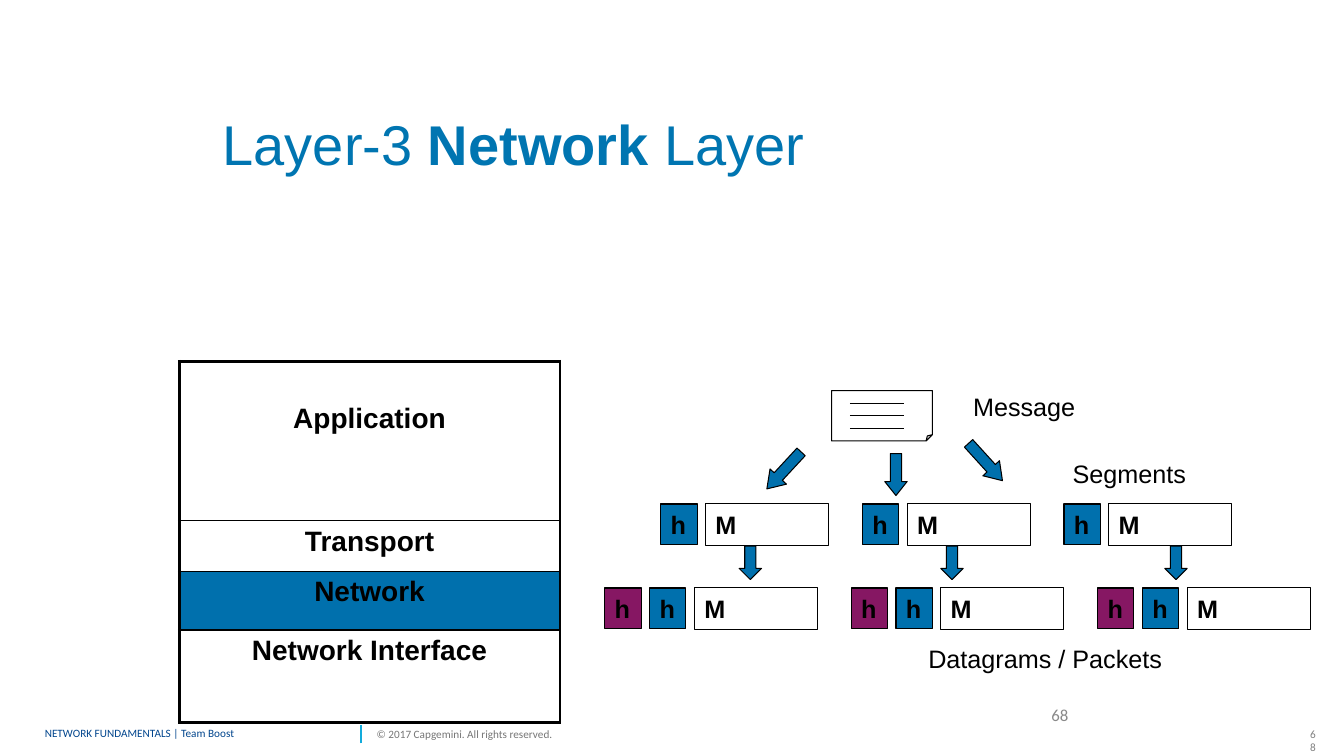
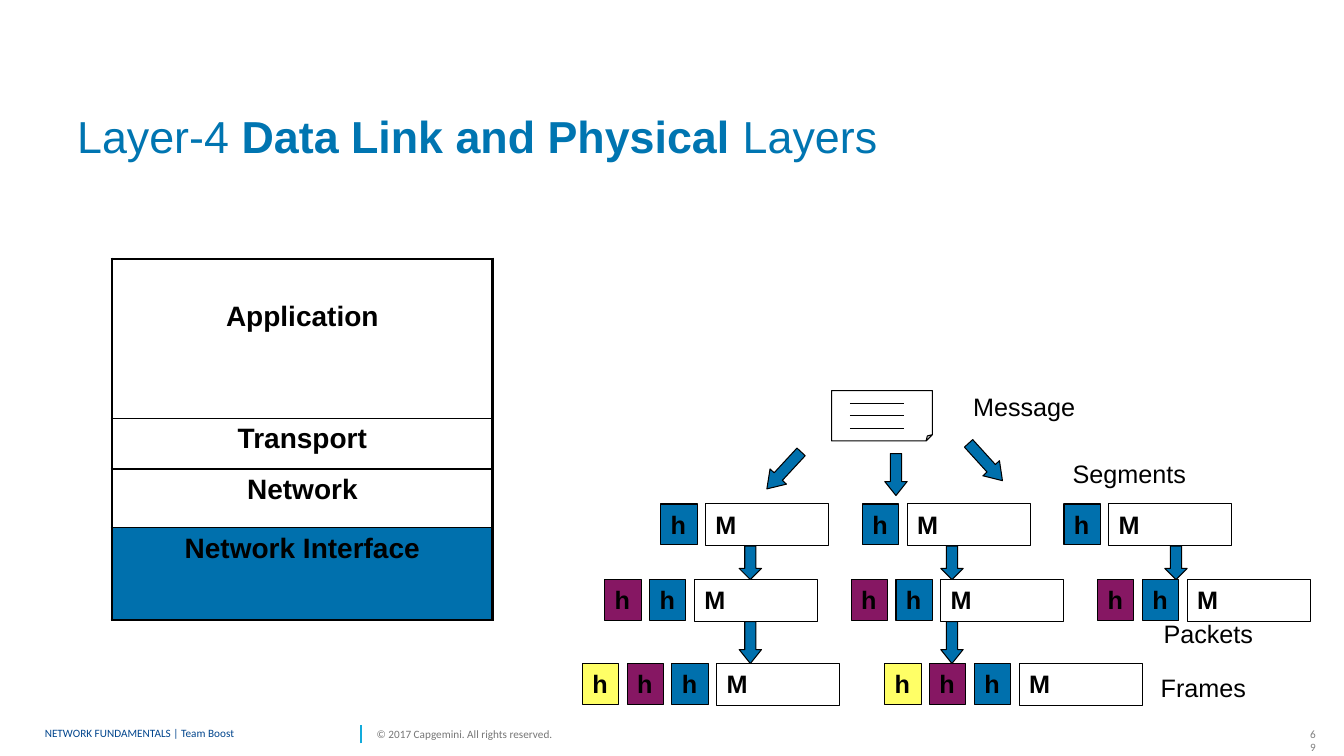
"""Build two slides on the network and data link layers."""
from lxml import etree
from pptx import Presentation
from pptx.dml.color import RGBColor
from pptx.enum import shapes, text
from pptx.oxml import ns
from pptx.util import Pt

PX = 12700
SLIDE_SIZE = (960, 540)

BLACK = RGBColor(0x00, 0x00, 0x00)
WHITE = RGBColor(0xFF, 0xFF, 0xFF)
BLUE = RGBColor(0x00, 0x70, 0xAD)
PURPLE = RGBColor(0x86, 0x17, 0x63)
YELLOW = RGBColor(0xFF, 0xFF, 0x66)
TITLE_BLUE = RGBColor(0x00, 0x75, 0xB1)
FOOTER_BLUE = RGBColor(0x00, 0x45, 0x8D)
DIVIDER_BLUE = RGBColor(0x12, 0xAB, 0xDB)
COPYRIGHT_GREY = RGBColor(0x76, 0x76, 0x76)
CORNER_GREY = RGBColor(0x80, 0x80, 0x80)
NUMBER_GREY = RGBColor(0x89, 0x89, 0x89)

LABEL = {"name": "Arial", "size": Pt(18), "bold": False}
STRONG = {**LABEL, "bold": True}
LAYER = {**STRONG, "size": Pt(20)}
FOOTER = {"name": "Calibri", "size": Pt(8)}
NUMBER = {"name": "Calibri", "size": Pt(12)}

NO_INSETS = {"margin_left": 0, "margin_top": 0, "margin_right": 0, "margin_bottom": 0}
MIDDLE = {"vertical_anchor": text.MSO_ANCHOR.MIDDLE}
NO_WRAP = {"word_wrap": False}

LAYER_ROWS = [("Application", 114), ("Transport", 36), ("Network", 42), ("Network Interface", 66)]
LAYER_WIDTH = 272
HEADER_PITCH = 32
ARROW_WIDTH = 16


def px(*lengths):
    """Return the lengths in EMU."""
    return [length * PX for length in lengths]


def apply(target, values):
    """Set each named attribute of the target."""
    for name, value in values.items():
        setattr(target, name, value)


def add_run(paragraph, content, style, color=BLACK):
    """Append a formatted run to the paragraph."""
    run = paragraph.add_run()
    run.text = content
    apply(run.font, style)
    run.font.color.rgb = color


def add_text(slide, box, content, style, color=BLACK, frame=None, paragraph_style=None):
    """Add a one-paragraph text box and return its paragraph."""
    text_frame = slide.shapes.add_textbox(*px(*box)).text_frame
    apply(text_frame, {"word_wrap": True, **(frame or {})})
    paragraph = text_frame.paragraphs[0]
    apply(paragraph, paragraph_style or {})
    add_run(paragraph, content, style, color)
    return paragraph


def add_shape(slide, kind, box, fill):
    """Add a preset shape with a thin black outline."""
    shape = slide.shapes.add_shape(kind, *px(*box))
    shape.shadow.inherit = False
    shape.fill.solid()
    shape.fill.fore_color.rgb = fill
    shape.line.color.rgb = BLACK
    shape.line.width = Pt(0.75)
    return shape


def add_line(slide, start, end, color, width):
    """Add a straight line without a shadow."""
    line = slide.shapes.add_connector(shapes.MSO_CONNECTOR.STRAIGHT, *px(*start, *end))
    line.line.color.rgb = color
    line.line.width = Pt(width)
    etree.SubElement(line._element.spPr, ns.qn("a:effectLst"))


def add_footer(slide, number):
    """Add the footer texts, the divider and the corner number."""
    add_text(slide, (928, 516, 19, 17), number, FOOTER, CORNER_GREY,
             paragraph_style={"alignment": text.PP_ALIGN.RIGHT})
    add_line(slide, (258, 531), (258, 518), DIVIDER_BLUE, 1)
    frame = {**NO_INSETS, **MIDDLE}
    add_text(slide, (32, 516, 222, 17), "NETWORK FUNDAMENTALS | Team Boost", FOOTER,
             FOOTER_BLUE, frame, {"line_spacing": 0.85})
    add_text(slide, (269, 516, 175, 17), "© 2017 Capgemini. All rights reserved.", FOOTER,
             COPYRIGHT_GREY, {**frame, **NO_WRAP})


def add_title(slide, box, size, parts):
    """Add a title whose middle part is bold."""
    style = {"name": "Arial", "size": Pt(size)}
    start, middle, end = parts
    paragraph = add_text(slide, box, start, style, TITLE_BLUE, MIDDLE, {"line_spacing": 0.9})
    add_run(paragraph, middle, {**style, "bold": True}, TITLE_BLUE)
    add_run(paragraph, end, style, TITLE_BLUE)


def add_borders(cell, widths):
    """Draw black borders of the given widths around a cell."""
    properties = cell._tc.get_or_add_tcPr()
    for index, (side, width) in enumerate(widths.items()):
        border = etree.Element(ns.qn(f"a:{side}"), w=str(int(Pt(width))))
        fill = etree.SubElement(border, ns.qn("a:solidFill"))
        etree.SubElement(fill, ns.qn("a:srgbClr"), val=str(BLACK))
        properties.insert(index, border)


def add_layers(slide, left, top, active):
    """Add the layer stack with the active layer filled."""
    height = sum(row_height for _, row_height in LAYER_ROWS)
    frame = slide.shapes.add_table(len(LAYER_ROWS), 1, *px(left, top, LAYER_WIDTH, height))
    table = frame.table
    apply(table, {"first_row": False, "horz_banding": False})
    last = len(LAYER_ROWS) - 1
    for index, (name, row_height) in enumerate(LAYER_ROWS):
        table.rows[index].height = row_height * PX
        cell = table.cell(index, 0)
        if name == active:
            cell.fill.solid()
            cell.fill.fore_color.rgb = BLUE
        else:
            cell.fill.background()
        add_borders(cell, {"lnL": 2.25, "lnR": 2.25,
                           "lnT": 2.25 if index == 0 else 1,
                           "lnB": 2.25 if index == last else 1})
        if index == 0:
            cell.margin_top = 30 * PX
        paragraph = cell.text_frame.paragraphs[0]
        paragraph.alignment = text.PP_ALIGN.CENTER
        add_run(paragraph, name, LAYER)


def add_block(slide, box, letter, fill, wrap):
    """Add a lettered rectangle of a packet."""
    shape = add_shape(slide, shapes.MSO_SHAPE.RECTANGLE, box, fill)
    apply(shape.text_frame, {"word_wrap": wrap, "vertical_anchor": text.MSO_ANCHOR.TOP})
    paragraph = shape.text_frame.paragraphs[0]
    paragraph.alignment = text.PP_ALIGN.LEFT
    add_run(paragraph, letter, STRONG)


def add_packets(slide, lefts, top, headers):
    """Add a row of packets, each with its headers before the message."""
    for left in lefts:
        for index, fill in enumerate(headers):
            add_block(slide, (left + index * HEADER_PITCH, top, 26, 29), "h", fill, False)
        message_left = left + len(headers) * HEADER_PITCH
        add_block(slide, (message_left, top, 88, 30), "M", WHITE, True)


def add_arrows(slide, lefts, top, height, rotation=0):
    """Add down arrows whose heads take a third of their height."""
    for left in lefts:
        arrow = add_shape(slide, shapes.MSO_SHAPE.DOWN_ARROW, (left, top, ARROW_WIDTH, height), BLUE)
        arrow.adjustments[1] = height / 3 / ARROW_WIDTH
        arrow.rotation = rotation


def add_label(slide, left, top, width, content):
    """Add a plain label on one line."""
    add_text(slide, (left, top, width, 29), content, LABEL, frame=NO_WRAP)


def add_sheet(slide, box):
    """Add a white sheet with a small folded corner."""
    sheet = add_shape(slide, shapes.MSO_SHAPE.FOLDED_CORNER, box, WHITE)
    guides = sheet._element.spPr.find(ns.qn("a:prstGeom")).find(ns.qn("a:avLst"))
    etree.SubElement(guides, ns.qn("a:gd"), name="adj", fmla="val 12500")


def add_message(slide):
    """Add the message sheet and its split into segments."""
    add_sheet(slide, (594, 279, 72, 36))
    for y in range(288, 307, 9):
        add_line(slide, (607, y), (646, y), BLACK, 0.75)
    add_label(slide, 688, 276, 89, "Message")
    add_label(slide, 759, 324, 96, "Segments")
    add_arrows(slide, [552], 318, 36, 42.8)
    add_arrows(slide, [632], 324, 30)
    add_arrows(slide, [696], 312, 36, 317.7)
    add_packets(slide, range(472, 761, 144), 360, [BLUE])


def add_datagrams(slide, top):
    """Add the row of datagrams and the arrows leading to it."""
    add_packets(slide, range(432, 785, 176), top, [PURPLE, BLUE])
    add_arrows(slide, [528, 672, 832], 390, 24)


def add_slide(presentation, number):
    """Add a blank slide with the shared footer."""
    slide = presentation.slides.add_slide(presentation.slide_layouts[6])
    add_footer(slide, number)
    return slide


def build_network(presentation):
    """Build the network layer slide."""
    slide = add_slide(presentation, "68")
    add_text(slide, (744, 500, 216, 29), "68", NUMBER, NUMBER_GREY)
    add_title(slide, (152, 60, 728, 90), 40, ("Layer-3", " Network", " Layer"))
    add_layers(slide, 128, 258, "Network")
    add_message(slide)
    add_datagrams(slide, 420)
    add_label(slide, 656, 456, 183, "Datagrams / Packets")


def build_data_link(presentation):
    """Build the data link and physical layers slide."""
    slide = add_slide(presentation, "69")
    add_title(slide, (48, 54, 888, 90), 32, ("Layer-4", " Data Link and Physical ", "Layers"))
    add_layers(slide, 80, 185, "Network Interface")
    add_message(slide)
    add_datagrams(slide, 414)
    add_label(slide, 824, 438, 79, "Packets")
    add_packets(slide, [416, 632], 474, [YELLOW, PURPLE, BLUE])
    add_label(slide, 822, 477, 76, "Frames")
    add_arrows(slide, [528, 672], 444, 30)


def main():
    """Build and save the presentation."""
    presentation = Presentation()
    presentation.slide_width, presentation.slide_height = px(*SLIDE_SIZE)
    build_network(presentation)
    build_data_link(presentation)
    presentation.save("out.pptx")


if __name__ == "__main__":
    main()
